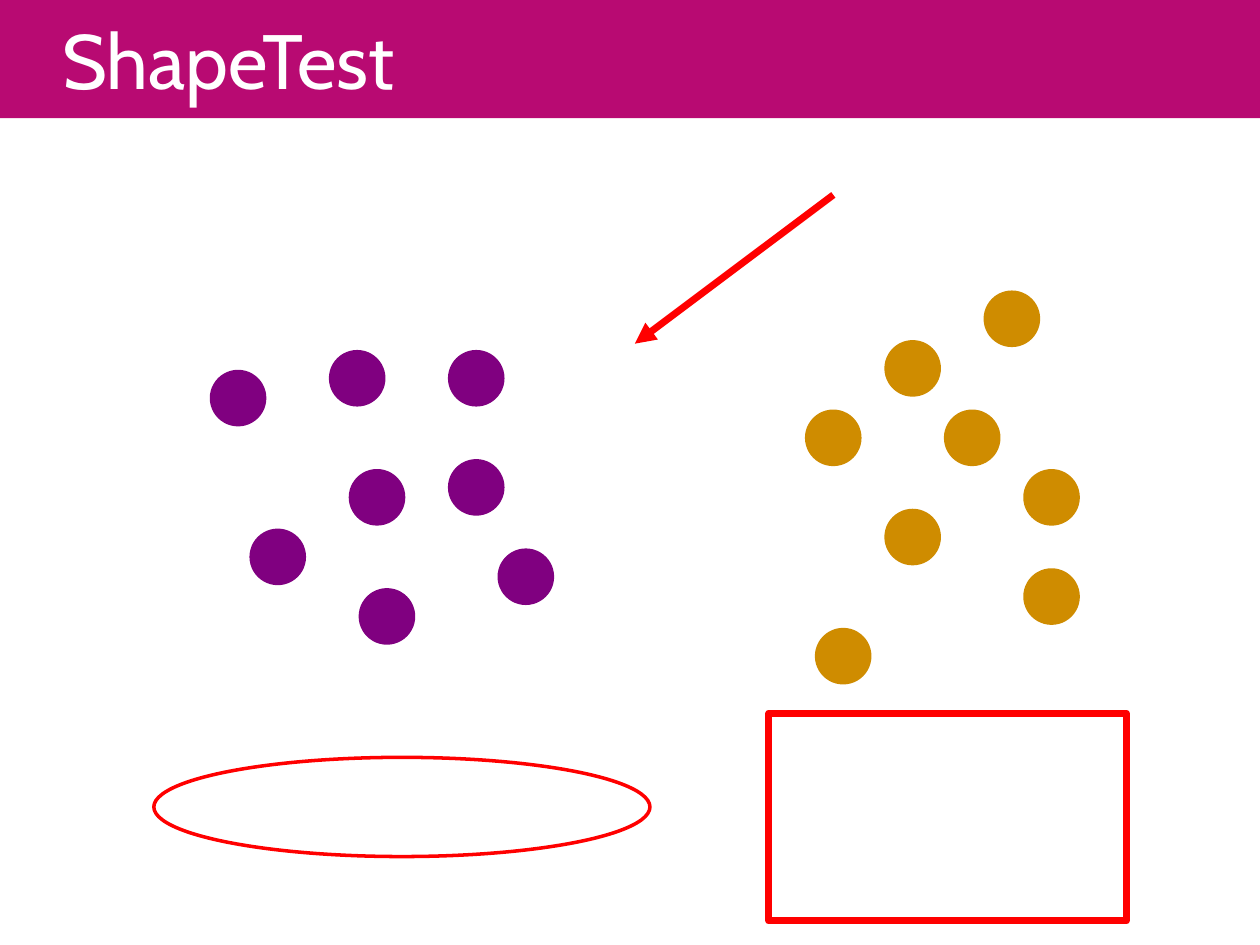
from dataclasses import dataclass

from lxml.etree import SubElement
from pptx import Presentation
from pptx.dml.color import RGBColor
from pptx.enum.shapes import MSO_CONNECTOR as Connector, MSO_SHAPE as Shape
from pptx.enum.text import MSO_ANCHOR as Anchor, PP_ALIGN as Align
from pptx.oxml.ns import qn
from pptx.util import Pt


@dataclass(frozen=True)
class Theme:
    banner: RGBColor = RGBColor(0xB8, 0x0A, 0x72)
    title: RGBColor = RGBColor(0xFF, 0xFF, 0xFF)
    purple: RGBColor = RGBColor(0x80, 0x00, 0x80)
    gold: RGBColor = RGBColor(0xCF, 0x8C, 0x00)
    red: RGBColor = RGBColor(0xFF, 0x00, 0x00)
    font: str = "Cabin"
    title_size: int = 44
    thin: int = 2
    thick: int = 4


THEME = Theme()
GRID = 5.67  # the dots sit on a 2 mm grid
DOT = 28.35

# Column and row of each dot on the grid of its cluster
PURPLE_DOTS = [(0, 2), (4, 18), (24, 11), (12, 0), (29, 20), (24, 0), (15, 24), (14, 12)]
GOLD_DOTS = [(0, 12), (8, 22), (8, 5), (14, 12), (18, 0), (22, 28), (22, 18), (1, 34)]


def add_figure(page, kind, box, fill=None, line=None, width=0):
    """Add a preset shape; a missing fill or line colour means none."""
    figure = page.shapes.add_shape(kind, *map(Pt, box))
    figure.shadow.inherit = False
    if fill is None:
        figure.fill.background()
    else:
        figure.fill.solid()
        figure.fill.fore_color.rgb = fill
    if line is None:
        figure.line.fill.background()
    else:
        figure.line.color.rgb = line
        figure.line.width = Pt(width)
    return figure


def add_banner(page, box, title):
    frame = add_figure(page, Shape.RECTANGLE, box, fill=THEME.banner).text_frame
    frame.word_wrap = True
    frame.vertical_anchor = Anchor.MIDDLE
    frame.margin_left = Pt(35.5)
    para = frame.paragraphs[0]
    para.text = title
    para.alignment = Align.LEFT
    para.font.name = THEME.font
    para.font.size = Pt(THEME.title_size)
    para.font.color.rgb = THEME.title


def add_cluster(page, left, top, cells, color):
    for column, row in cells:
        box = (left + column * GRID, top + row * GRID, DOT, DOT)
        add_figure(page, Shape.OVAL, box, color, color, THEME.thick)


def add_arrow(page, start, end):
    arrow = page.shapes.add_connector(Connector.STRAIGHT, *map(Pt, start + end))
    arrow.line.color.rgb = THEME.red
    arrow.line.width = Pt(THEME.thick)
    properties = arrow._element.spPr
    SubElement(properties.find(qn("a:ln")), qn("a:tailEnd"), type="triangle")
    SubElement(properties, qn("a:effectLst"))


def main():
    deck = Presentation()
    deck.slide_width, deck.slide_height = Pt(720), Pt(540)
    page = deck.slides.add_slide(deck.slide_layouts[6])
    add_banner(page, (0, 0, 720, 67.5), "ShapeTest")
    add_cluster(page, 121.9, 202, PURPLE_DOTS, THEME.purple)
    add_cluster(page, 462, 168, GOLD_DOTS, THEME.gold)
    add_figure(page, Shape.OVAL, (87.9, 432.8, 283.5, 56.7), line=THEME.red, width=THEME.thin)
    add_arrow(page, (476.2, 111.4), (362.8, 196.4))
    add_figure(page, Shape.RECTANGLE, (439.4, 407.5, 204.2, 118.8), line=THEME.red, width=THEME.thick)
    deck.save("out.pptx")


if __name__ == "__main__":
    main()
